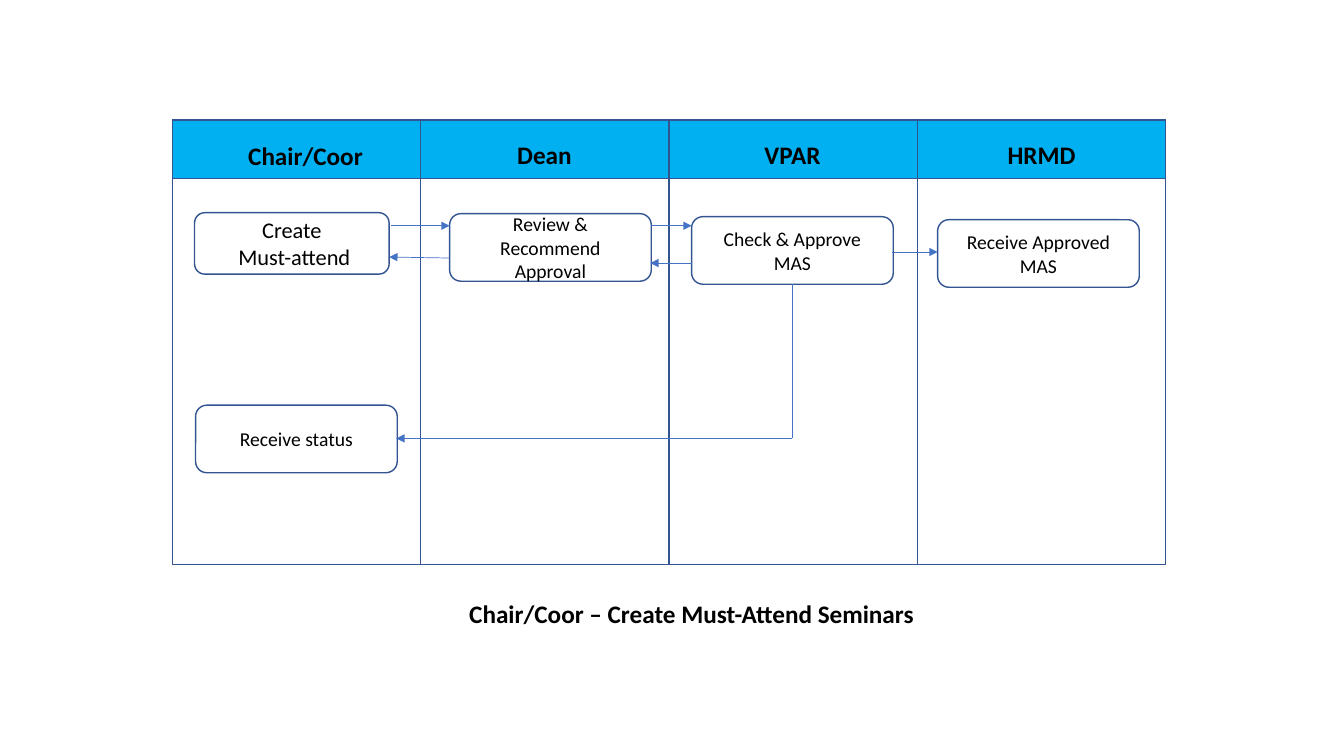
from pptx import Presentation
from pptx import util as u
from pptx.dml.color import RGBColor
from pptx.enum import shapes, text
from pptx.oxml.ns import qn
from lxml import etree


class Theme:
    font = "Calibri"
    ink = RGBColor(0, 0, 0)
    head = RGBColor(0x00, 0xB0, 0xF0)
    edge = RGBColor(0x32, 0x54, 0x91)
    flow = RGBColor(0x44, 0x72, 0xC4)
    big, mid, small = 18, 16, 14


def write(shape, words, size, bold=False, anchor=text.MSO_ANCHOR.TOP):
    frame = shape.text_frame
    frame.word_wrap = True
    frame.vertical_anchor = anchor
    frame.text = words
    for para in frame.paragraphs:
        para.alignment = text.PP_ALIGN.CENTER
        para.font.name = Theme.font
        para.font.size = u.Pt(size)
        para.font.bold = bold
        para.font.color.rgb = Theme.ink


def box(kind, left, top, width, height, fill=None):
    shape = slide.shapes.add_shape(
        kind, u.Inches(left), u.Inches(top), u.Inches(width), u.Inches(height))
    shape.shadow.inherit = False
    if fill is None:
        shape.fill.background()
    else:
        shape.fill.solid()
        shape.fill.fore_color.rgb = fill
    shape.line.color.rgb = Theme.edge
    shape.line.width = u.Pt(1)
    return shape


deck = Presentation()
deck.slide_width, deck.slide_height = u.Inches(13.33), u.Inches(7.5)
slide = deck.slides.add_slide(deck.slide_layouts[5])

# Title below the chart
title = slide.shapes.title
title.left, title.top = u.Inches(3.76), u.Inches(5.89)
title.width, title.height = u.Inches(6.2), u.Inches(0.71)
write(title, "Chair/Coor – Create Must-Attend Seminars", Theme.big, True)
title.text_frame.auto_size = text.MSO_AUTO_SIZE.NONE

# Lanes with their headings
rect = shapes.MSO_SHAPE.RECTANGLE
left, top, lane = 1.71, 1.19, 2.463
heads = [("Chair/Coor", 2.09, 1.34), ("Dean", 4.46, 1.33),
         ("VPAR", 6.92, 1.33), ("HRMD", 9.39, 1.33)]
for i, (name, x, y) in enumerate(heads):
    box(rect, left + i * lane, top, lane, 4.41)
    box(rect, left + i * lane, top, lane, 0.58, Theme.head)
    label = slide.shapes.add_textbox(
        u.Inches(x), u.Inches(y), u.Inches(1.88), u.Inches(0.4))
    write(label, name, Theme.big, True)

# Steps
steps = [
    ("Create\n Must-attend", 1.93, 2.11, 1.93, 0.61, Theme.mid),
    ("Review & Recommend Approval", 4.46, 2.12, 2, 0.67, Theme.small),
    ("Check & Approve MAS", 6.86, 2.15, 2, 0.67, Theme.small),
    ("Receive Approved MAS", 9.3, 2.18, 2, 0.67, Theme.small),
    ("Receive status", 1.94, 4.02, 2, 0.67, Theme.small),
]
for words, x, y, width, height, size in steps:
    step = box(shapes.MSO_SHAPE.ROUNDED_RECTANGLE, x, y, width, height)
    write(step, words, size, anchor=text.MSO_ANCHOR.MIDDLE)

# Flow lines: start, end, arrowhead
flows = [
    (3.88, 2.24, 4.46, 2.24, True),
    (4.46, 2.56, 3.86, 2.55, True),
    (6.46, 2.24, 6.86, 2.24, True),
    (6.86, 2.61, 6.45, 2.61, True),
    (8.85, 2.5, 9.3, 2.5, True),
    (7.86, 2.82, 7.86, 4.35, False),
    (7.86, 4.35, 3.93, 4.35, True),
]
for *ends, tip in flows:
    line = slide.shapes.add_connector(
        shapes.MSO_CONNECTOR.STRAIGHT, *[u.Inches(v) for v in ends])
    line.line.color.rgb = Theme.flow
    line.line.width = u.Pt(0.5)
    if tip:
        etree.SubElement(line.line._get_or_add_ln(), qn("a:tailEnd"), type="triangle")
    etree.SubElement(line._element.spPr, qn("a:effectLst"))

deck.save("out.pptx")
